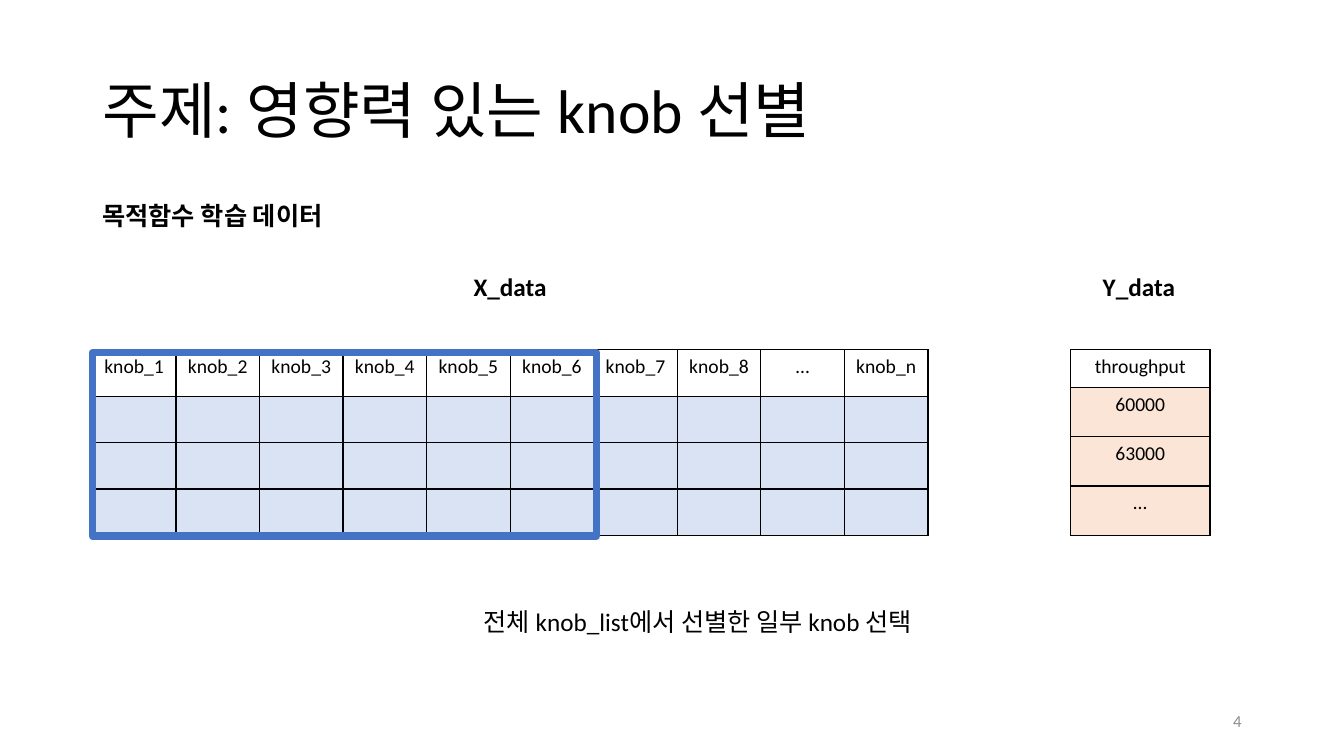
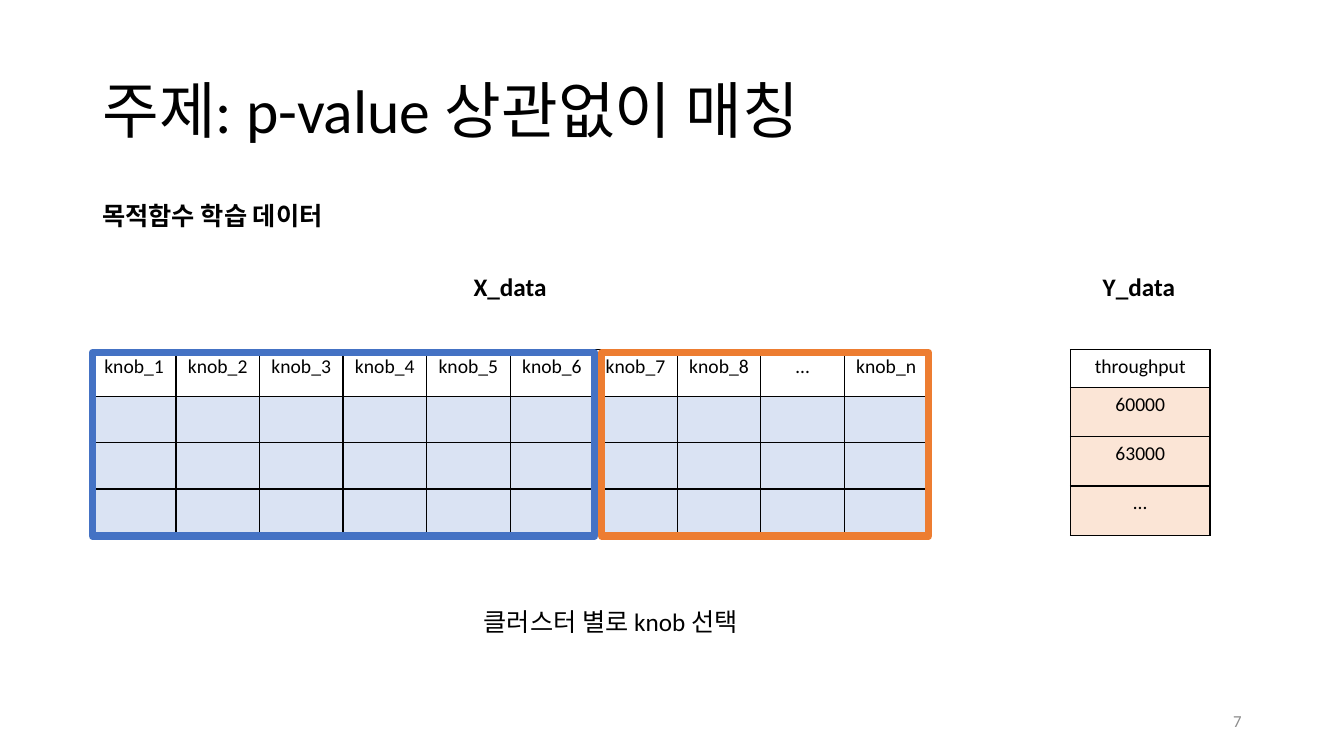
from dataclasses import dataclass

from lxml.etree import SubElement
from pptx import Presentation
from pptx.dml.color import RGBColor
from pptx.enum.shapes import MSO_SHAPE
from pptx.enum.text import MSO_ANCHOR, MSO_AUTO_SIZE, PP_ALIGN
from pptx.oxml.ns import qn
from pptx.util import Inches, Pt

UNIT = Inches(13.33) / 160  # the slide is a grid of 160 columns by 90 rows


@dataclass(frozen=True)
class Theme:
    font: str = "Calibri"
    ink: str = "000000"
    grey: str = "8C8C8C"
    blue: str = "4472C4"
    orange: str = "ED7D31"
    pale: str = "DAE3F3"
    peach: str = "FBE5D6"
    title: int = 44
    body: int = 18
    cell: int = 14
    foot: int = 12
    rule: float = 1
    frame: float = 5.25


@dataclass(frozen=True)
class Box:
    """A place on the grid: left column, top row, columns wide, rows high."""
    x: float
    y: float
    w: float
    h: float

    def area(self) -> tuple[int, ...]:
        return tuple(round(n * UNIT) for n in (self.x, self.y, self.w, self.h))


@dataclass(frozen=True)
class Label:
    text: str
    box: Box
    bold: bool = True
    wrap: bool = False


@dataclass(frozen=True)
class Grid:
    rows: list[list[str]]
    box: Box
    head: float
    fill: str


@dataclass(frozen=True)
class Frame:
    box: Box
    tint: str


@dataclass(frozen=True)
class Page:
    title: str
    number: str
    note: Label
    frames: list[Frame]


THEME = Theme()
KNOBS = [f"knob_{n}" for n in range(1, 9)] + ["…", "knob_n"]
LABELS = [
    Label("목적함수 학습 데이터", Box(11, 23.3, 31.1, 4.8)),
    Label("X_data", Box(55.2, 31.7, 11.2, 4.8)),
    Label("Y_data", Box(130.1, 31.7, 11.2, 4.8)),
]
GRIDS = [
    Grid([KNOBS] + [[""] * len(KNOBS)] * 3,
         Box(11, 41.65, 99.5, 22.1), 5.53, THEME.pale),
    Grid([["throughput"], ["60000"], ["63000"], ["…"]],
         Box(127.45, 41.65, 16.6, 22.1), 4.5, THEME.peach),
]
PAGES = [
    Page("주제: 영향력 있는 knob 선별", "4",
         Label("전체 knob_list에서 선별한 일부 knob 선택",
               Box(56.4, 71.65, 55.6, 4.8), False, True),
         [Frame(Box(11, 42, 60, 21.85), THEME.blue)]),
    Page("주제: p-value 상관없이 매칭", "7",
         Label("클러스터 별로 knob 선택", Box(56.4, 71.65, 34.9, 4.8), False),
         [Frame(Box(11, 42, 59.8, 21.85), THEME.blue),
          Frame(Box(71.65, 42, 38.9, 21.85), THEME.orange)]),
]


def color(code: str) -> RGBColor:
    return RGBColor.from_string(code)


def style(para, size: int, align=PP_ALIGN.LEFT, tint: str = THEME.ink,
          bold: bool = False) -> None:
    para.alignment = align
    font = para.font
    font.name, font.size, font.bold = THEME.font, Pt(size), bold
    font.color.rgb = color(tint)


def add_title(slide, text: str) -> None:
    shape = slide.shapes.title
    shape.left, shape.top, shape.width, shape.height = Box(
        11, 4.8, 138, 17.4).area()
    frame = shape.text_frame
    frame.text = text
    frame.auto_size = MSO_AUTO_SIZE.NONE
    frame.vertical_anchor = MSO_ANCHOR.MIDDLE
    para = frame.paragraphs[0]
    para.line_spacing = 0.9
    style(para, THEME.title)


def add_number(slide, text: str) -> None:
    frame = slide.shapes.add_textbox(*Box(113, 83.4, 36, 4.8).area()).text_frame
    frame.text = text
    frame.word_wrap = True
    frame.vertical_anchor = MSO_ANCHOR.MIDDLE
    style(frame.paragraphs[0], THEME.foot, PP_ALIGN.RIGHT, THEME.grey)


def add_label(slide, label: Label) -> None:
    frame = slide.shapes.add_textbox(*label.box.area()).text_frame
    frame.text = label.text
    frame.word_wrap = label.wrap
    frame.auto_size = MSO_AUTO_SIZE.SHAPE_TO_FIT_TEXT
    style(frame.paragraphs[0], THEME.body, bold=label.bold)


def add_rules(cell) -> None:
    """Draw the four borders of a cell; they must precede its fill."""
    props = cell._tc.get_or_add_tcPr()
    for side in ("a:lnL", "a:lnR", "a:lnT", "a:lnB"):
        line = SubElement(props, qn(side), w=str(Pt(THEME.rule)))
        fill = SubElement(line, qn("a:solidFill"))
        SubElement(fill, qn("a:srgbClr"), val=THEME.ink)


def add_grid(slide, grid: Grid) -> None:
    count, wide = len(grid.rows), len(grid.rows[0])
    table = slide.shapes.add_table(count, wide, *grid.box.area()).table
    for col in table.columns:
        col.width = round(grid.box.w * UNIT / wide)
    rest = (grid.box.h - grid.head) / (count - 1)
    for r, texts in enumerate(grid.rows):
        table.rows[r].height = round((rest if r else grid.head) * UNIT)
        for c, text in enumerate(texts):
            cell = table.cell(r, c)
            add_rules(cell)
            if r:
                cell.fill.solid()
                cell.fill.fore_color.rgb = color(grid.fill)
            else:
                cell.fill.background()
            cell.text = text
            style(cell.text_frame.paragraphs[0], THEME.cell, PP_ALIGN.CENTER)


def add_frame(slide, frame: Frame) -> None:
    shape = slide.shapes.add_shape(MSO_SHAPE.RECTANGLE, *frame.box.area())
    shape.shadow.inherit = False
    shape.fill.background()
    shape.line.color.rgb = color(frame.tint)
    shape.line.width = Pt(THEME.frame)


def add_page(deck, page: Page) -> None:
    slide = deck.slides.add_slide(deck.slide_layouts.get_by_name("Title Only"))
    add_title(slide, page.title)
    add_number(slide, page.number)
    for grid in GRIDS:
        add_grid(slide, grid)
    for label in [*LABELS, page.note]:
        add_label(slide, label)
    for frame in page.frames:
        add_frame(slide, frame)


def main() -> None:
    deck = Presentation()
    deck.slide_width, deck.slide_height = Inches(13.33), Inches(7.5)
    for page in PAGES:
        add_page(deck, page)
    deck.save("out.pptx")


if __name__ == "__main__":
    main()
